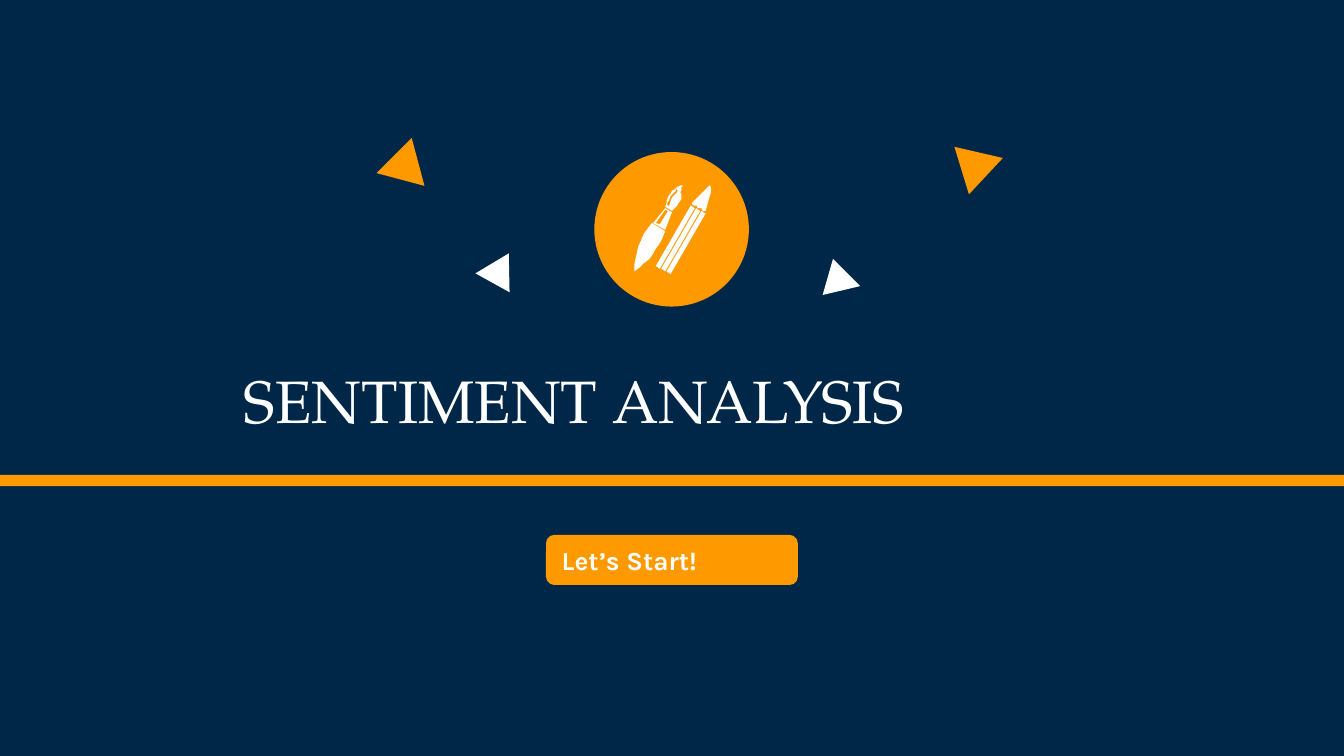
from pptx import Presentation
from pptx.dml.color import RGBColor
from pptx.enum.shapes import MSO_SHAPE
from pptx.enum.text import MSO_ANCHOR, MSO_AUTO_SIZE, PP_ALIGN
from pptx.util import Inches, Pt

NAVY = RGBColor(0x00, 0x27, 0x48)
ORANGE = RGBColor(0xFF, 0x99, 0x00)
WHITE = RGBColor(0xFF, 0xFF, 0xFF)

COLS, ROWS = 100, 56.25
ICON_UNITS = 10

BRUSH = [
    [(13, 28), (23, 34), (21, 39), (19, 43), (16, 47), (14, 51), (11, 55),
     (7, 58), (4, 61), (0, 64), (0, 59), (1, 54), (2, 50), (3, 45), (5, 41),
     (7, 36), (10, 32)],
    [(23, 16), (24, 13), (24, 11), (25, 9), (26, 7), (27, 6), (28, 4),
     (30, 3), (31, 2), (32, 1), (33, 1), (34, 0), (35, 0), (36, 0), (36, 1),
     (35, 1), (35, 2), (35, 4), (34, 5), (35, 6), (35, 8), (35, 10),
     (34, 12), (33, 13), (32, 15), (31, 16), (29, 18), (28, 19)],
    [(31, 4), (31, 3), (32, 3), (32, 5), (30, 7), (28, 9), (27, 12),
     (26, 15), (25, 15), (24, 14), (26, 11), (27, 8), (29, 6)],
    [(14, 28), (23, 33), (28, 20), (23, 17)],
    [(16, 28), (19, 29), (25, 19), (23, 18)],
]
PENCIL = [
    [(57, 5), (54, 3), (53, 3), (54, 2), (55, 1), (56, 0), (57, 1)],
    [(43, 13), (43, 14), (44, 15), (45, 15), (46, 15), (47, 16), (47, 17),
     (48, 17), (50, 17), (50, 18), (51, 19), (53, 19), (57, 5), (53, 3)],
] + [
    [(x + 4 * i, y + 2 * i) for x, y in [(45, 17), (42, 15), (16, 60), (19, 62)]]
    for i in range(3)
]
TRIANGLES = [
    (28.6, 11.1, 3.7, 3.2, 135, ORANGE),
    (35.8, 18.7, 2.9, 2.5, 29, WHITE),
    (70.6, 11.3, 3.7, 3.2, 193, ORANGE),
    (61.4, 19.7, 2.8, 2.5, 106, WHITE),
]


def write(tf, text, font, size, color=WHITE, bold=False,
          align=PP_ALIGN.JUSTIFY, anchor=MSO_ANCHOR.MIDDLE):
    tf.word_wrap = True
    tf.auto_size = MSO_AUTO_SIZE.NONE
    tf.vertical_anchor = anchor
    p = tf.paragraphs[0]
    p.alignment = align
    r = p.add_run()
    r.text = text
    r.font.name = font
    r.font.size = Pt(size)
    r.font.bold = bold
    r.font.color.rgb = color


class Deck:
    title_font = "TeX Gyre Pagella"
    body_font = "Karla"

    def __init__(self):
        self.prs = Presentation()
        self.prs.slide_width = Inches(10)
        self.prs.slide_height = Inches(10 * 9 / 16)
        self.col = self.prs.slide_width / COLS
        self.row = self.prs.slide_height / ROWS
        self.s = None

    def add_slide(self, background):
        self.s = self.prs.slides.add_slide(self.prs.slide_layouts[5])
        fill = self.s.background.fill
        fill.solid()
        fill.fore_color.rgb = background

    def box(self, x, y, w, h):
        return (round(x * self.col), round(y * self.row),
                round(w * self.col), round(h * self.row))

    def paint(self, sp, color):
        sp.shadow.inherit = False
        sp.fill.solid()
        sp.fill.fore_color.rgb = color
        sp.line.fill.background()
        return sp

    def title(self, text, *place):
        sp = self.s.shapes.title
        sp.left, sp.top, sp.width, sp.height = self.box(*place)
        write(sp.text_frame, text, self.title_font, 32)

    def shape(self, kind, *place, color=ORANGE, rotation=0):
        sp = self.s.shapes.add_shape(kind, *self.box(*place))
        sp.rotation = rotation
        return self.paint(sp, color)

    def button(self, text, *place):
        sp = self.shape(MSO_SHAPE.ROUNDED_RECTANGLE, *place)
        write(sp.text_frame, text, self.body_font, 14, bold=True)

    def icon(self, outlines, x, y, color=WHITE):
        builder = None
        for outline in outlines:
            if builder is None:
                builder = self.s.shapes.build_freeform(
                    *outline[0], scale=self.col / ICON_UNITS)
            else:
                builder.move_to(*outline[0])
            builder.add_line_segments(outline[1:], close=True)
        sp = builder.convert_to_shape(round(x * self.col), round(y * self.row))
        self.paint(sp, color)


def main():
    deck = Deck()
    deck.add_slide(NAVY)
    deck.title("SENTIMENT ANALYSIS", 17.15, 26.5, 65.7, 6.4)
    deck.shape(MSO_SHAPE.RECTANGLE, -0.1, 35.33, 100.1, 0.84)
    deck.button("Let’s Start! ", 40.63, 39.8, 18.74, 3.73)
    deck.shape(MSO_SHAPE.OVAL, 44.22, 11.31, 11.5, 11.5)
    deck.icon(BRUSH + PENCIL, 47.2, 13.8)
    for *place, rotation, color in TRIANGLES:
        deck.shape(MSO_SHAPE.ISOSCELES_TRIANGLE, *place,
                   color=color, rotation=rotation)
    deck.prs.save("out.pptx")


if __name__ == "__main__":
    main()
